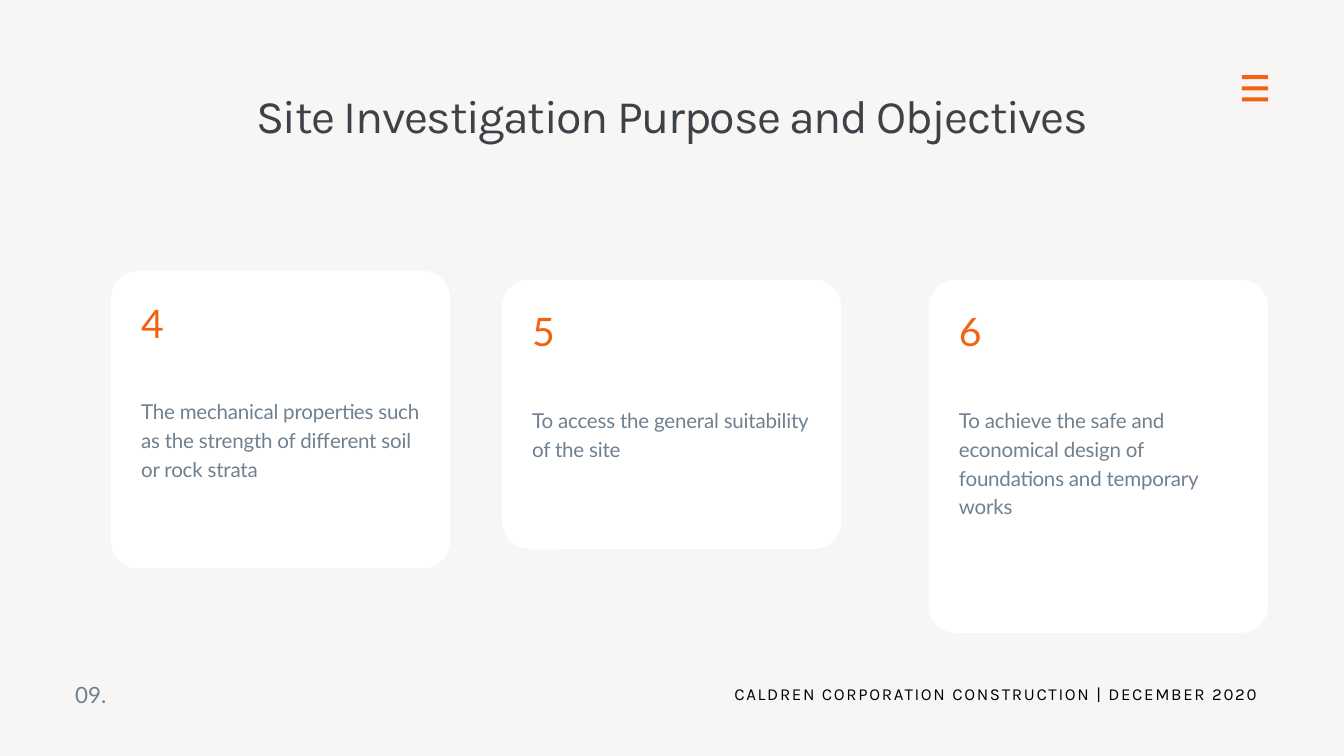
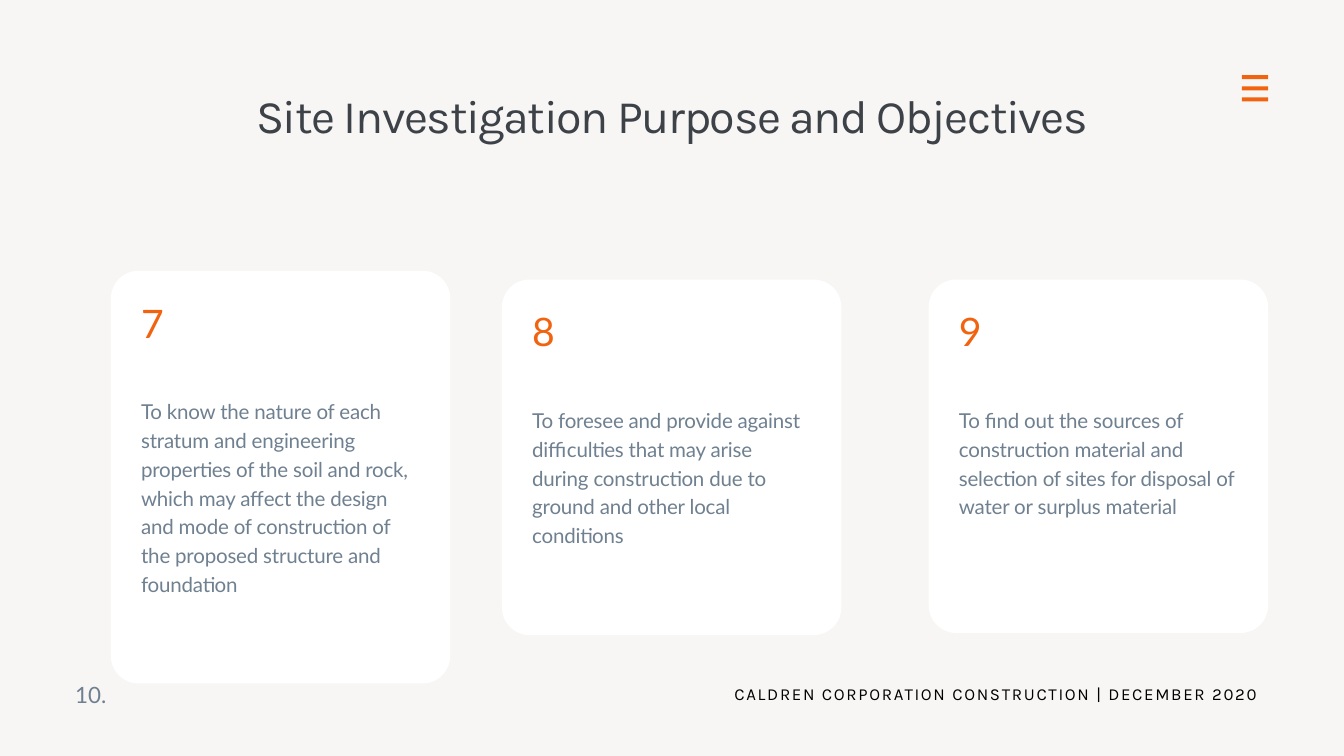
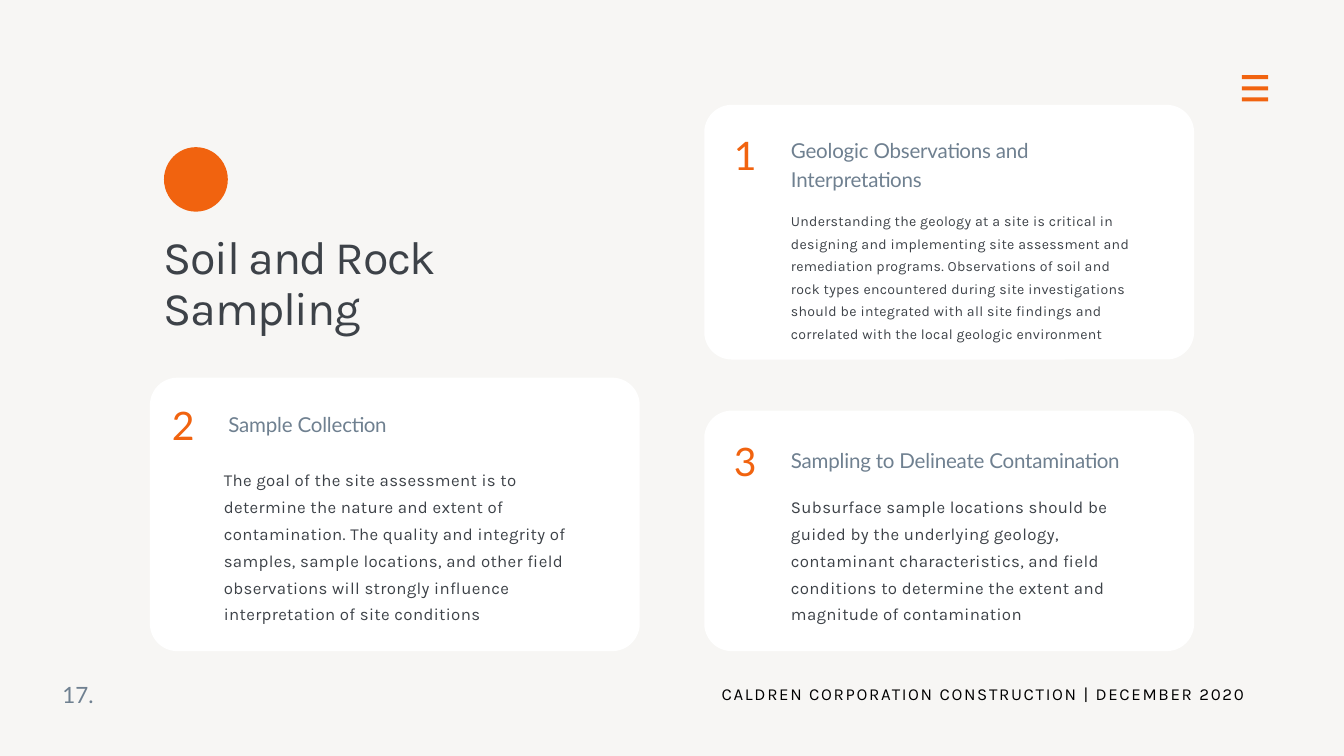
import pptx
import pptx.dml.color
import pptx.enum.shapes
import pptx.enum.text
import pptx.util

Inches = pptx.util.Inches
Pt = pptx.util.Pt
RGBColor = pptx.dml.color.RGBColor
Shape = pptx.enum.shapes.MSO_SHAPE
Align = pptx.enum.text.PP_ALIGN

PAPER = RGBColor(0xF7, 0xF6, 0xF4)
WHITE = RGBColor(0xFF, 0xFF, 0xFF)
ORANGE = RGBColor(0xF1, 0x63, 0x0F)
SLATE = RGBColor(0x6F, 0x80, 0x90)
CHARCOAL = RGBColor(0x3D, 0x42, 0x48)
BLACK = RGBColor(0, 0, 0)

TITLE = dict(font="Karla", size=50, color=CHARCOAL, line=55, spacing=-1.5)
NUMBER = dict(font="Lato", size=42, color=ORANGE, line=58.8, spacing=-0.4)
HEADING = dict(font="Lato", size=22, color=SLATE, line=30.8, spacing=-0.2)
BODY = dict(font="Karla", size=18, color=CHARCOAL, line=28.8, spacing=0.4)
SMALL_BODY = dict(BODY, size=15.1, line=24.1, spacing=0.3)
PAGE_NUMBER = dict(font="Lato", size=24, color=SLATE, line=33.6)
FOOTER = dict(font="Karla", size=18, color=BLACK, line=25.2, spacing=1.8,
              align=Align.CENTER)

FOOTER_TEXT = "CALDREN CORPORATION CONSTRUCTION | DECEMBER 2020"
CORNER = 0.41

OBJECTIVE_TITLE = "Site Investigation Purpose and Objectives"
OBJECTIVE_WIDTH = 5.05
OBJECTIVE_COLUMNS = [(1.65, 4.03), (7.47, 4.16), (13.82, 4.16)]
OBJECTIVE_PAGES = [
    ("09.", [
        ("4", 4.43, "The mechanical properties such as the strength of "
                    "different soil or rock strata"),
        ("5", 4.01, "To access the general suitability of the site"),
        ("6", 5.26, "To achieve the safe and economical design of "
                    "foundations and temporary works"),
    ]),
    ("10.", [
        ("7", 6.14, "To know the nature of each stratum and engineering "
                    "properties of the soil and rock, which may affect the "
                    "design and mode of construction of the proposed "
                    "structure and foundation"),
        ("8", 5.29, "To foresee and provide against difficulties that may "
                    "arise during construction due to ground and other "
                    "local conditions"),
        ("9", 5.26, "To find out the sources of construction material and "
                    "selection of sites for disposal of water or surplus "
                    "material"),
    ]),
]

SAMPLING_WIDTH = 7.29
SAMPLING_CARDS = [
    dict(card=(10.48, 1.56, 3.79), number=("1", 10.92, 1.83),
         heading=("Geologic Observations and Interpretations",
                  11.77, 1.99, 0.83),
         body=("Understanding the geology at a site is critical in designing "
               "and implementing site assessment and remediation programs. "
               "Observations of soil and rock types encountered during site "
               "investigations should be integrated with all site findings "
               "and correlated with the local geologic environment",
               11.77, 3.08, 5.2, 1.98), style=SMALL_BODY),
    dict(card=(2.23, 5.62, 4.07), number=("2", 2.56, 5.86),
         heading=("Sample Collection", 3.4, 6.07, 0.41),
         body=("The goal of the site assessment is to determine the nature "
               "and extent of contamination. The quality and integrity of "
               "samples, sample locations, and other field observations will "
               "strongly influence interpretation of site conditions",
               3.33, 6.89, 5.51, 2.35), style=BODY),
    dict(card=(10.48, 6.11, 3.58), number=("3", 10.92, 6.39),
         heading=("Sampling to Delineate Contamination", 11.77, 6.6, 0.41),
         body=("Subsurface sample locations should be guided by the "
               "underlying geology, contaminant characteristics, and field "
               "conditions to determine the extent and magnitude of "
               "contamination", 11.77, 7.29, 5.51, 1.95), style=BODY),
]


def write_text(frame, text, *, font, size, color, line, spacing=0,
               align=Align.LEFT):
    frame.word_wrap = True
    frame.auto_size = pptx.enum.text.MSO_AUTO_SIZE.NONE
    frame.vertical_anchor = pptx.enum.text.MSO_ANCHOR.TOP
    frame.margin_left = frame.margin_right = 0
    frame.margin_top = frame.margin_bottom = 0
    para = frame.paragraphs[0]
    para.alignment = align
    para.line_spacing = Pt(line)
    para.space_before = Pt(0)
    span = para.add_run()
    span.text = text
    span.font.name = font
    span.font.size = Pt(size)
    span.font.color.rgb = color
    if spacing:
        span.font._element.set("spc", str(round(spacing * 100)))


class SlideBuilder:
    def __init__(self):
        self.deck = pptx.Presentation()
        self.deck.slide_width = Inches(20)
        self.deck.slide_height = Inches(11.25)
        background = self.deck.slide_master.background.fill
        background.solid()
        background.fore_color.rgb = PAPER
        self.page = None

    def start_page(self, number, shift=0):
        layout = self.deck.slide_layouts.get_by_name("Title Only")
        self.page = self.deck.slides.add_slide(layout)
        for bar in range(3):
            self.shape(Shape.RECTANGLE, 18.48, 1.12 + bar * 0.165,
                       0.39, 0.06, ORANGE)
        self.text(number, 1.12 - shift, 10.07, 4.8, 0.44, PAGE_NUMBER)
        self.text(FOOTER_TEXT, 10.76 - shift, 10.13, 8.12, 0.34, FOOTER)

    def title(self, text, left, top, width, height, align=Align.LEFT):
        box = self.page.shapes.title
        box.left, box.top = Inches(left), Inches(top)
        box.width, box.height = Inches(width), Inches(height)
        write_text(box.text_frame, text, align=align, **TITLE)

    def text(self, text, left, top, width, height, style):
        box = self.page.shapes.add_textbox(
            Inches(left), Inches(top), Inches(width), Inches(height))
        write_text(box.text_frame, text, **style)

    def shape(self, kind, left, top, width, height, color):
        shape = self.page.shapes.add_shape(
            kind, Inches(left), Inches(top), Inches(width), Inches(height))
        shape.shadow.inherit = False
        shape.fill.solid()
        shape.fill.fore_color.rgb = color
        shape.line.fill.background()
        return shape

    def card(self, left, top, width, height):
        card = self.shape(Shape.ROUNDED_RECTANGLE, left, top, width, height,
                          WHITE)
        card.adjustments[0] = CORNER / min(width, height)

    def number(self, text, left, top):
        self.text(text, left, top, 0.84, 0.78, NUMBER)

    def objective(self, number, text, left, top, height):
        self.card(left, top, OBJECTIVE_WIDTH, height)
        self.number(number, left + 0.45, top + 0.3)
        self.text(text, left + 0.45, top + 1.85, 4.16, height - 2.4, HEADING)

    def sampling_card(self, card, number, heading, body, style):
        left, top, height = card
        self.card(left, top, SAMPLING_WIDTH, height)
        self.number(*number)
        label, label_left, label_top, label_height = heading
        self.text(label, label_left, label_top, 5.51, label_height, HEADING)
        self.text(*body, style)


def main():
    builder = SlideBuilder()
    for page_number, objectives in OBJECTIVE_PAGES:
        builder.start_page(page_number)
        builder.title(OBJECTIVE_TITLE, 2.99, 1.36, 14.02, 0.79, Align.CENTER)
        for (left, top), (number, height, text) in zip(OBJECTIVE_COLUMNS,
                                                       objectives):
            builder.objective(number, text, left, top, height)

    builder.start_page("17.", shift=0.19)
    builder.title("Soil and Rock Sampling", 2.44, 3.46, 5.93, 1.55)
    builder.shape(Shape.OVAL, 2.44, 2.19, 0.95, 0.96, ORANGE)
    for sampling in SAMPLING_CARDS:
        builder.sampling_card(**sampling)
    builder.deck.save("out.pptx")


if __name__ == "__main__":
    main()
